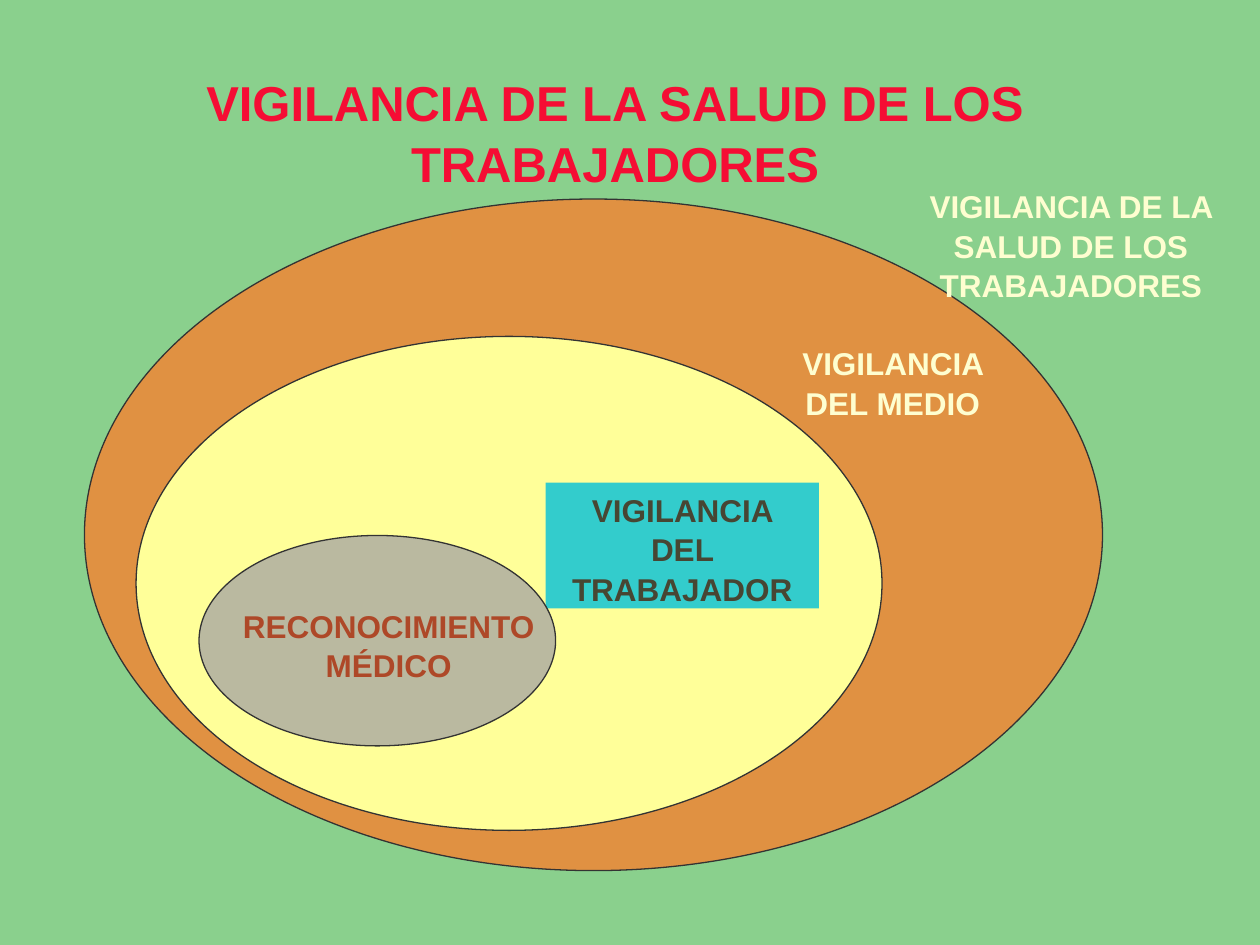
from pptx import Presentation
from pptx.dml.color import RGBColor
from pptx.enum.shapes import MSO_SHAPE
from pptx.enum.text import MSO_ANCHOR, MSO_AUTO_SIZE, PP_ALIGN
from pptx.util import Inches, Pt

OVAL = MSO_SHAPE.OVAL
CENTER = PP_ALIGN.CENTER
TOP = MSO_ANCHOR.TOP
GROW = MSO_AUTO_SIZE.SHAPE_TO_FIT_TEXT

COLORS = {
    "back": "8AD08D",
    "title": "F50D34",
    "outer": "E09142",
    "middle": "FFFF99",
    "inner": "BAB9A0",
    "edge": "333333",
    "cream": "FEFED0",
    "panel": "33CCCC",
    "dark": "474633",
    "rust": "AE4828",
}


def paint(fill, color):
    fill.solid()
    fill.fore_color.rgb = RGBColor.from_string(COLORS[color])


def add_text(slide, text, box, color, size=18, fill=None):
    shape = slide.shapes.add_textbox(*map(Inches, box))
    if fill:
        paint(shape.fill, fill)
    frame = shape.text_frame
    frame.word_wrap = True
    frame.auto_size = GROW
    frame.vertical_anchor = TOP
    para = frame.paragraphs[0]
    para.alignment = CENTER
    para.line_spacing = 1.05
    run = para.add_run()
    run.text = text
    font = run.font
    font.name = "Arial"
    font.size = Pt(size)
    font.bold = True
    font.color.rgb = RGBColor.from_string(COLORS[color])


def add_oval(slide, box, color):
    oval = slide.shapes.add_shape(OVAL, *map(Inches, box))
    oval.shadow.inherit = False
    paint(oval.fill, color)
    paint(oval.line.fill, "edge")
    oval.line.width = Pt(0.75)


def add_outer(slide, left, top, width, height):
    add_oval(slide, (left, top, width, height), "outer")
    add_text(slide, "VIGILANCIA DE LA SALUD DE LOS TRABAJADORES",
             (left + 6.58, top - 0.16, 2.5, 1), "cream")
    add_text(slide, "VIGILANCIA DEL MEDIO",
             (left + 5.33, top + 1.09, 2.17, 0.7), "cream")


def add_middle(slide, left, top, width, height):
    add_oval(slide, (left, top, width, height), "middle")
    add_text(slide, "VIGILANCIA DEL TRABAJADOR",
             (left + 3.25, top + 1.16, 2.17, 1), "dark", fill="panel")


def add_inner(slide, left, top, width, height):
    add_oval(slide, (left, top, width, height), "inner")
    add_text(slide, "RECONOCIMIENTO MÉDICO",
             (left + 0.17, top + 0.5, 2.67, 0.7), "rust")


def main():
    deck = Presentation()
    deck.slide_width = Inches(10)
    deck.slide_height = Inches(7.5)
    slide = deck.slides.add_slide(deck.slide_layouts[6])
    paint(slide.background.fill, "back")
    add_text(slide, "VIGILANCIA DE LA SALUD DE LOS TRABAJADORES",
             (0.67, 0.5, 8.42, 1.04), "title", size=28)
    add_outer(slide, 0.67, 1.58, 8.08, 5.33)
    add_middle(slide, 1.08, 2.67, 5.92, 3.92)
    add_inner(slide, 1.58, 4.25, 2.83, 1.67)
    deck.save("out.pptx")


if __name__ == "__main__":
    main()
